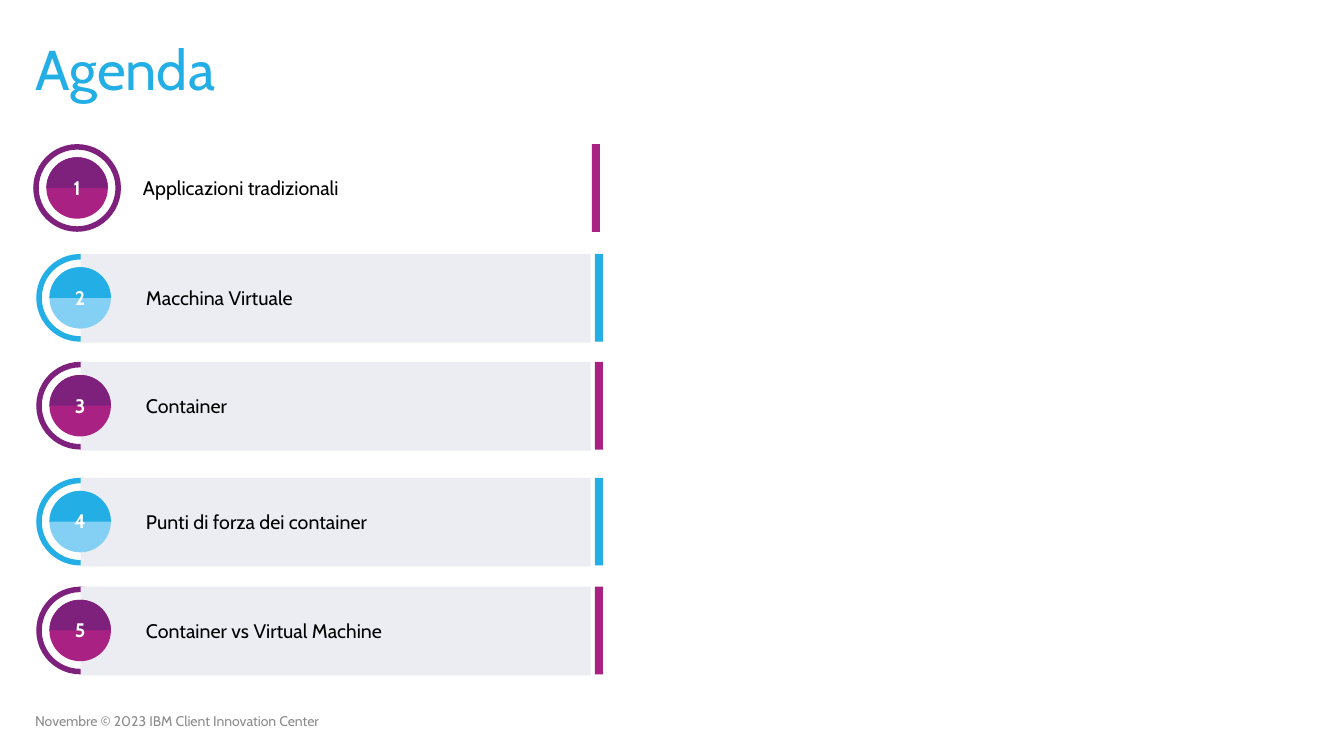
"""Build the agenda slide with five numbered topics."""
from pptx import Presentation
from pptx.dml.color import RGBColor
from pptx.enum.shapes import MSO_SHAPE
from pptx.enum.text import MSO_ANCHOR, PP_ALIGN
from pptx.util import Inches, Pt

RECT, OVAL = MSO_SHAPE.RECTANGLE, MSO_SHAPE.OVAL
DONUT, CHORD = MSO_SHAPE.DONUT, MSO_SHAPE.CHORD
MIDDLE, TOP = MSO_ANCHOR.MIDDLE, MSO_ANCHOR.TOP
LEFT, CENTER = PP_ALIGN.LEFT, PP_ALIGN.CENTER

PURPLE, MAGENTA = "7E217D", "A92183"
BLUE, SKY = "23AFE6", "84D0F4"
PANEL = "ECEDF3"

TITLE = {"size": Pt(40), "name": "Cabin", "bold": False}
FOOTER = {"size": Pt(10), "name": "Cabin", "bold": False}
NUMBER = {"size": Pt(14), "name": "Cabin", "bold": True}
LABEL = {"size": Pt(14), "name": "Cabin", "bold": False}

TOPICS = [
    ("Applicazioni tradizionali", 0.33, 1.43),
    ("Macchina Virtuale", 0.36, 2.52),
    ("Container", 0.36, 3.59),
    ("Punti di forza dei container", 0.36, 4.74),
    ("Container vs Virtual Machine", 0.36, 5.82),
]


def add_shape(kind, x, y, w, h, color, adjustments=()):
    sp = s.shapes.add_shape(kind, Inches(x), Inches(y), Inches(w), Inches(h))
    sp.shadow.inherit = False
    sp.fill.solid()
    sp.fill.fore_color.rgb = RGBColor.from_string(color)
    sp.line.fill.background()
    for i, value in enumerate(adjustments):
        sp.adjustments[i] = value


def write(sp, box, text, font, color, align=LEFT, anchor=MIDDLE):
    sp.left, sp.top, sp.width, sp.height = [Inches(v) for v in box]
    tf = sp.text_frame
    tf.word_wrap = True
    tf.vertical_anchor = anchor
    p = tf.paragraphs[0]
    p.alignment = align
    r = p.add_run()
    r.text = text
    for key, value in font.items():
        setattr(r.font, key, value)
    r.font.color.rgb = RGBColor.from_string(color)
    return p


prs = Presentation()
prs.slide_width, prs.slide_height = Inches(13.33), Inches(7.5)
s = prs.slides.add_slide(prs.slide_layouts[5])

p = write(s.shapes.title, (0.25, 0.37, 4.55, 0.7), "Agenda", TITLE, BLUE)
p.line_spacing = 0.9
write(s.shapes.add_textbox(0, 0, 0, 0), (0.25, 6.95, 6.42, 0.4),
      "Novembre © 2023 IBM Client Innovation Center", FOOTER, "8C8C8C")

for n, (topic, x, y) in enumerate(TOPICS, 1):
    dark, light, bar = (PURPLE, MAGENTA, MAGENTA) if n % 2 else (BLUE, SKY, BLUE)
    add_shape(DONUT, x, y, 0.87, 0.87, dark, [0.063])
    if n > 1:
        add_shape(RECT, x + 0.44, y, 5.06, 0.88, PANEL)
    add_shape(RECT, x + 5.54, y, 0.08, 0.87, bar)
    add_shape(OVAL, x + 0.13, y + 0.13, 0.61, 0.61, light)
    add_shape(CHORD, x + 0.13, y + 0.13, 0.61, 0.61, dark, [108, 0])
    write(s.shapes.add_textbox(0, 0, 0, 0), (x + 0.18, y + 0.21, 0.51, 0.44),
          str(n), NUMBER, "FFFFFF", CENTER)
    write(s.shapes.add_textbox(0, 0, 0, 0), (x + 0.99, y + 0.27, 4.23, 0.34),
          topic, LABEL, "000000", LEFT, TOP)

prs.save("out.pptx")
